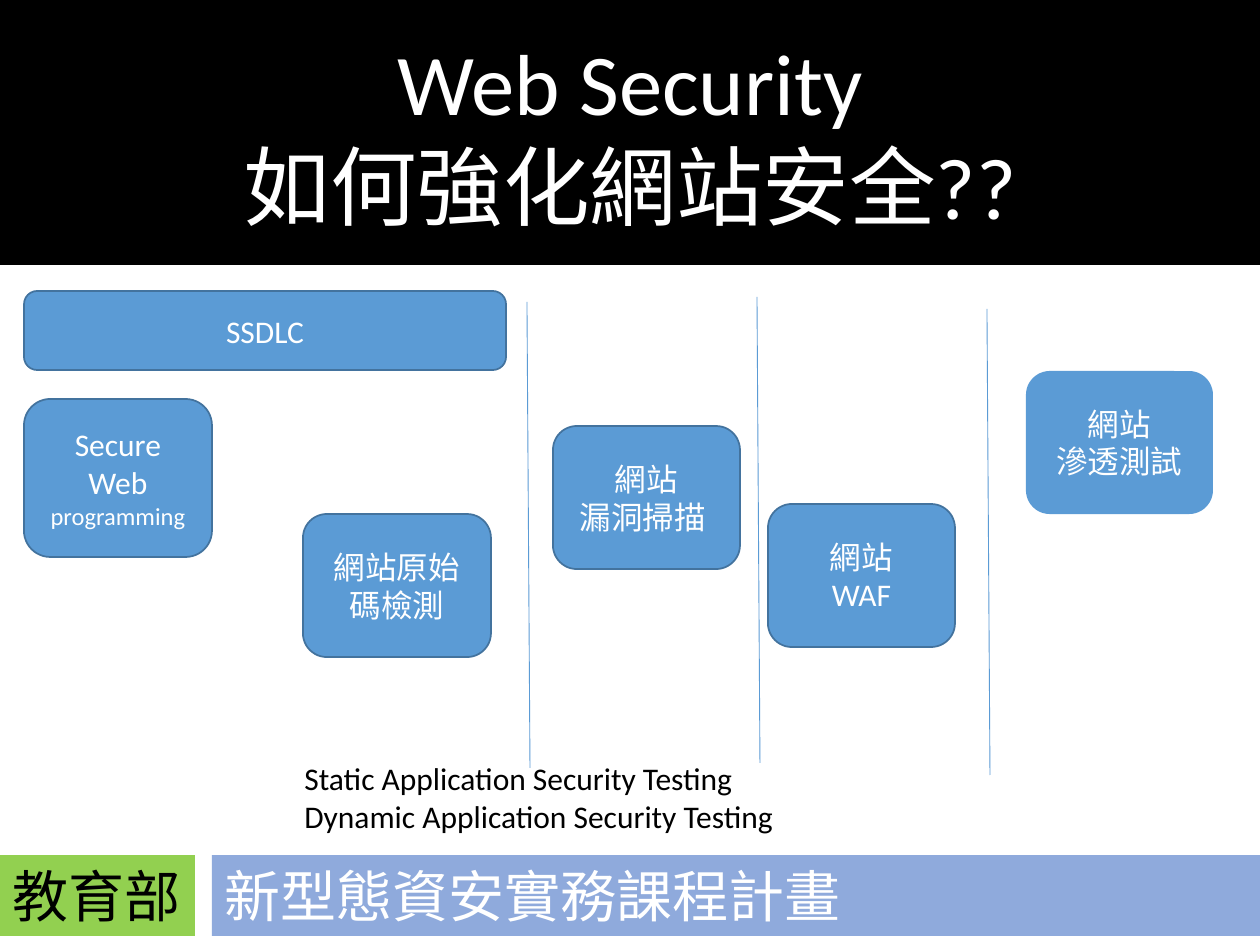
from lxml.etree import SubElement
from pptx import Presentation
from pptx.dml.color import RGBColor as RGB
from pptx.enum.shapes import MSO_CONNECTOR as LINE, MSO_SHAPE as SHAPE
from pptx.enum.text import MSO_ANCHOR as ANCHOR, PP_ALIGN as ALIGN
from pptx.oxml.ns import qn
from pptx.util import Emu, Pt

THEME = {
    "black": RGB(0, 0, 0), "white": RGB(255, 255, 255),
    "blue": RGB(0x5B, 0x9B, 0xD5), "edge": RGB(0x43, 0x73, 0x9E),
    "green": RGB(0x92, 0xD0, 0x50), "lavender": RGB(0x8F, 0xAA, 0xDC),
    "main": "Calibri", "footer": "Lato",
    "title_size": 49.5, "footer_size": 32, "body_size": 18, "small_size": 14,
}
EMU_PER_PX = 914400 / 126


def px(length):
    return Emu(round(length * EMU_PER_PX))


def write(shape, paragraphs, size, color, font="main", align=ALIGN.CENTER,
          anchor=ANCHOR.MIDDLE, wrap=True):
    frame = shape.text_frame
    frame.word_wrap = wrap
    frame.vertical_anchor = anchor
    for index, pieces in enumerate(paragraphs):
        paragraph = frame.paragraphs[0] if index == 0 else frame.add_paragraph()
        paragraph.alignment = align
        for text, piece_size in pieces:
            run = paragraph.add_run()
            run.text = text
            looks = {"name": THEME[font], "size": Pt(THEME[piece_size or size])}
            for key, value in looks.items():
                setattr(run.font, key, value)
            run.font.color.rgb = THEME[color]


deck = Presentation()
deck.slide_width, deck.slide_height = px(1260), px(945)
slide = deck.slides.add_slide(deck.slide_layouts[6])
shapes = slide.shapes

testing_terms = shapes.add_textbox(px(292), px(753), px(620), px(89))
write(testing_terms,
      [[("Static Application Security Testing", None)],
       [("Dynamic Application Security Testing", None)]],
      "body_size", "black", align=ALIGN.LEFT, anchor=ANCHOR.TOP)

for left, top in [(527, 302), (757, 297), (987, 309)]:
    divider = shapes.add_connector(LINE.STRAIGHT, px(left), px(top), px(left + 3), px(top + 466))
    divider.line.color.rgb = THEME["blue"]
    divider.line.width = Pt(0.5)
    SubElement(divider._element.spPr, qn("a:effectLst"))

bands = [
    ((0, 0, 1260, 265), "black", [[("Web Security", None)], [("如何強化網站安全??", None)]],
     {"size": "title_size", "color": "white"}),
    ((212, 855, 1048, 81), "lavender", [[("新型態資安實務課程計畫", None)]],
     {"size": "footer_size", "color": "white", "font": "footer",
      "align": ALIGN.LEFT, "anchor": ANCHOR.TOP}),
    ((0, 855, 195, 81), "green", [[("教育部", None)]],
     {"size": "footer_size", "color": "black", "font": "footer",
      "align": ALIGN.LEFT, "anchor": ANCHOR.TOP, "wrap": False}),
]
for box, fill, paragraphs, style in bands:
    band = shapes.add_shape(SHAPE.RECTANGLE, *map(px, box))
    band.shadow.inherit = False
    band.fill.solid()
    band.fill.fore_color.rgb = THEME[fill]
    band.line.fill.background()
    write(band, paragraphs, **style)

measures = [
    ((24, 291, 482, 79), "edge", [[("SSDLC", None)]]),
    ((24, 399, 188, 158), "edge",
     [[("Secure", None)], [("Web ", None), ("programming", "small_size")]]),
    ((303, 514, 188, 143), "edge", [[("網站原始碼檢測", None)]]),
    ((553, 426, 187, 143), "edge", [[("網站", None)], [("漏洞掃描 ", None)]]),
    ((768, 504, 187, 143), "edge", [[("網站", None)], [("WAF", None)]]),
    ((1026, 371, 187, 143), None, [[("網站", None)], [("滲透測試", None)]]),
]
for box, edge, paragraphs in measures:
    measure = shapes.add_shape(SHAPE.ROUNDED_RECTANGLE, *map(px, box))
    measure.shadow.inherit = False
    measure.fill.solid()
    measure.fill.fore_color.rgb = THEME["blue"]
    if edge:
        measure.line.color.rgb = THEME[edge]
        measure.line.width = Pt(1)
    else:
        measure.line.fill.background()
    write(measure, paragraphs, "body_size", "white")

deck.save("out.pptx")
